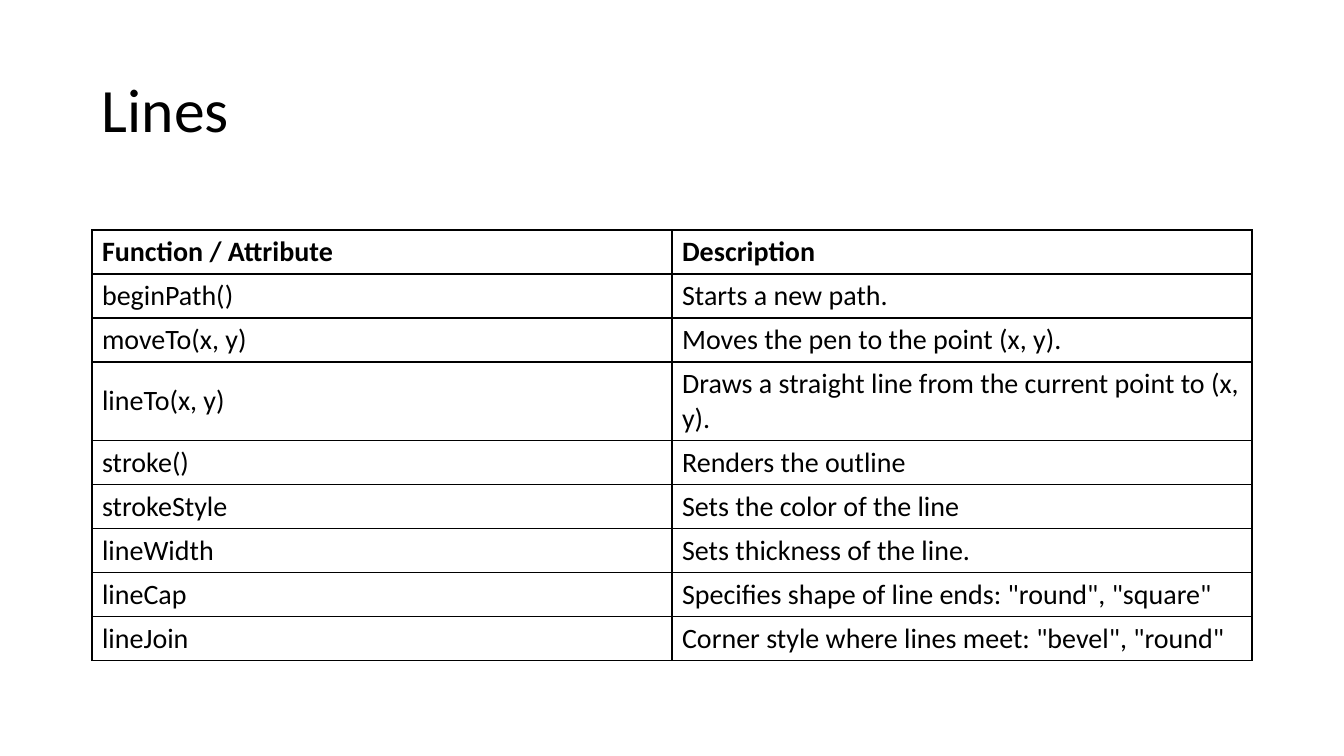
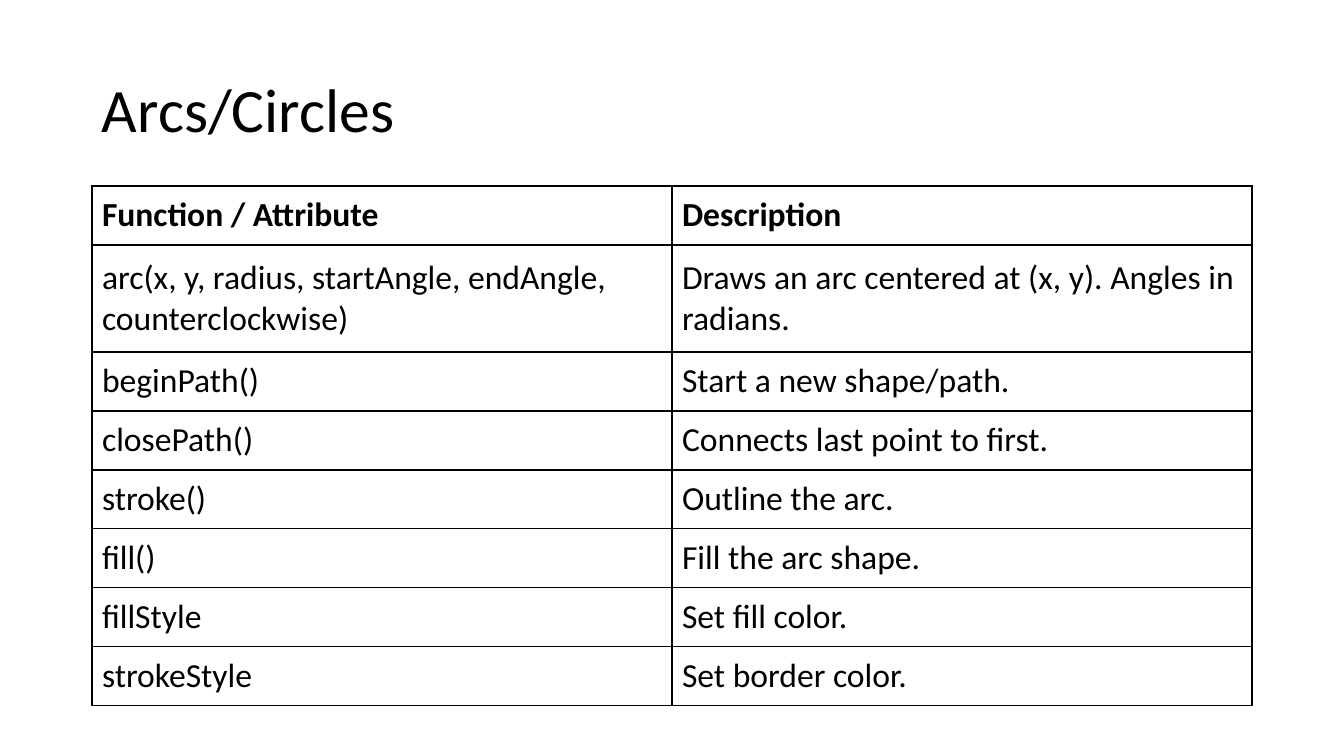
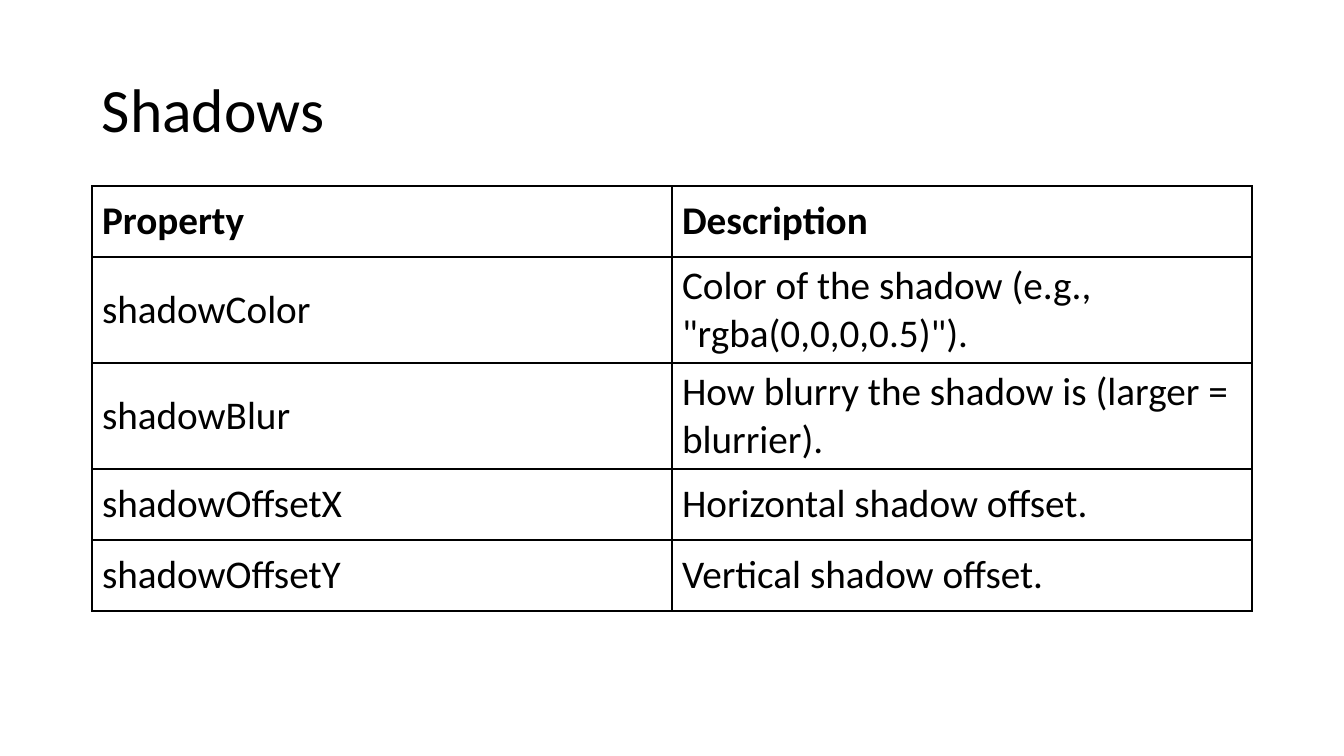
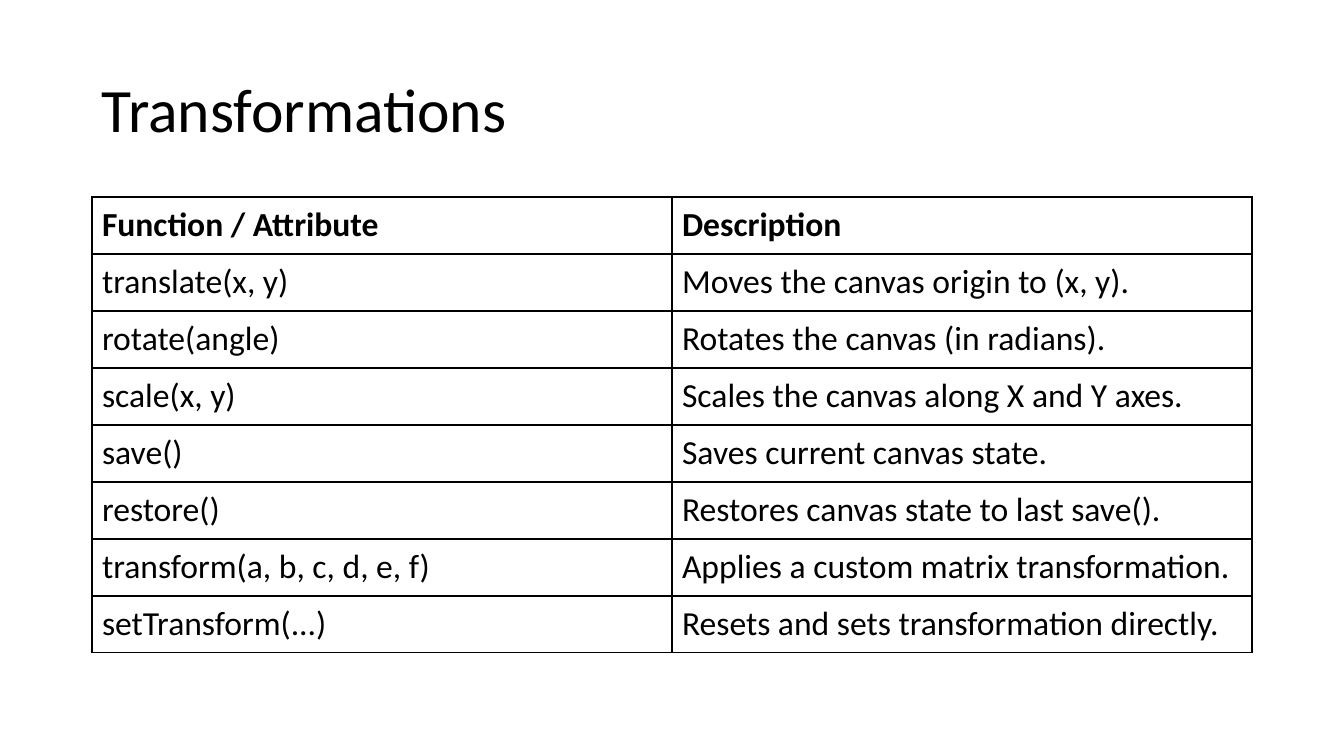
from lxml import etree
from pptx import Presentation
from pptx.dml.color import RGBColor
from pptx.enum.text import MSO_ANCHOR
from pptx.oxml.ns import qn
from pptx.util import Pt

MIDDLE = MSO_ANCHOR.MIDDLE
SLIDE_WIDTH, SLIDE_HEIGHT = 1344, 756
EMU_PER_PX = 12192000 / SLIDE_WIDTH
COLORS = {"text": "000000", "border": "000000"}
FONT = "Calibri"
TITLE_SIZE = 44
LEFT, CONTENT_WIDTH = 92, 1160
TITLE_TOP, TITLE_HEIGHT = 40, 146
BLANK_LAYOUT = 6


def px(length):
    return round(length * EMU_PER_PX)


class Deck:
    """Shared style and the slide being built."""

    def __init__(self):
        self.presentation = Presentation()
        self.presentation.slide_width = px(SLIDE_WIDTH)
        self.presentation.slide_height = px(SLIDE_HEIGHT)
        self.slide = None

    def add_slide(self, title):
        layout = self.presentation.slide_layouts[BLANK_LAYOUT]
        self.slide = self.presentation.slides.add_slide(layout)
        self.title(title)

    def style(self, paragraph, size, bold=False):
        font = paragraph.font
        font.name, font.size, font.bold = FONT, Pt(size), bold
        font.color.rgb = RGBColor.from_string(COLORS["text"])

    def title(self, text):
        box = self.slide.shapes.add_textbox(
            px(LEFT), px(TITLE_TOP), px(CONTENT_WIDTH), px(TITLE_HEIGHT))
        frame = box.text_frame
        frame.word_wrap = True
        frame.vertical_anchor = MIDDLE
        paragraph = frame.paragraphs[0]
        paragraph.text = text
        paragraph.line_spacing = 0.9
        self.style(paragraph, TITLE_SIZE)

    def table(self, top, size, row_height, rows, tall_rows):
        """Draw a two-column table; tall_rows maps row index to height."""
        heights = [tall_rows.get(index, row_height) for index in range(len(rows))]
        table = self.slide.shapes.add_table(
            len(rows), len(rows[0]), px(LEFT), px(top),
            px(CONTENT_WIDTH), px(sum(heights))).table
        table.first_row = table.horz_banding = False
        for index, (texts, height) in enumerate(zip(rows, heights)):
            table.rows[index].height = px(height)
            for column, text in enumerate(texts):
                self.cell(table.cell(index, column), text, size, index == 0)

    def cell(self, cell, text, size, bold):
        cell.vertical_anchor = MIDDLE
        self.borders(cell)
        cell.fill.background()
        paragraph = cell.text_frame.paragraphs[0]
        paragraph.text = text
        self.style(paragraph, size, bold)

    def borders(self, cell):
        properties = cell._tc.get_or_add_tcPr()
        for side in ("a:lnL", "a:lnR", "a:lnT", "a:lnB"):
            line = etree.SubElement(properties, qn(side), w=str(Pt(1)))
            fill = etree.SubElement(line, qn("a:solidFill"))
            etree.SubElement(fill, qn("a:srgbClr"), val=COLORS["border"])


# Title, table top, text size, row height, heights of wrapped rows, rows
FUNCTION_HEADER = ("Function / Attribute", "Description")
TOPICS = [
    ("Lines", 230, 20, 44, {3: 79}, [
        FUNCTION_HEADER,
        ("beginPath()", "Starts a new path."),
        ("moveTo(x, y)", "Moves the pen to the point (x, y)."),
        ("lineTo(x, y)", "Draws a straight line from the current point to (x, y)."),
        ("stroke()", "Renders the outline"),
        ("strokeStyle", "Sets the color of the line"),
        ("lineWidth", "Sets thickness of the line."),
        ("lineCap", 'Specifies shape of line ends: "round", "square"'),
        ("lineJoin", 'Corner style where lines meet: "bevel", "round"'),
    ]),
    ("Arcs/Circles", 186, 24, 59, {1: 107}, [
        FUNCTION_HEADER,
        ("arc(x, y, radius, startAngle, endAngle, counterclockwise)",
         "Draws an arc centered at (x, y). Angles in radians."),
        ("beginPath()", "Start a new shape/path."),
        ("closePath()", "Connects last point to first."),
        ("stroke()", "Outline the arc."),
        ("fill()", "Fill the arc shape."),
        ("fillStyle", "Set fill color."),
        ("strokeStyle", "Set border color."),
    ]),
    ("Shadows", 186, 28, 71, {1: 106, 2: 106}, [
        ("Property", "Description"),
        ("shadowColor", 'Color of the shadow (e.g., "rgba(0,0,0,0.5)").'),
        ("shadowBlur", "How blurry the shadow is (larger = blurrier)."),
        ("shadowOffsetX", "Horizontal shadow offset."),
        ("shadowOffsetY", "Vertical shadow offset."),
    ]),
    ("Transformations", 197, 24, 57, {}, [
        FUNCTION_HEADER,
        ("translate(x, y)", "Moves the canvas origin to (x, y)."),
        ("rotate(angle)", "Rotates the canvas (in radians)."),
        ("scale(x, y)", "Scales the canvas along X and Y axes."),
        ("save()", "Saves current canvas state."),
        ("restore()", "Restores canvas state to last save()."),
        ("transform(a, b, c, d, e, f)", "Applies a custom matrix transformation."),
        ("setTransform(...)", "Resets and sets transformation directly."),
    ]),
]


def main():
    deck = Deck()
    for title, top, size, row_height, tall_rows, rows in TOPICS:
        deck.add_slide(title)
        deck.table(top, size, row_height, rows, tall_rows)
    deck.presentation.save("out.pptx")


if __name__ == "__main__":
    main()
